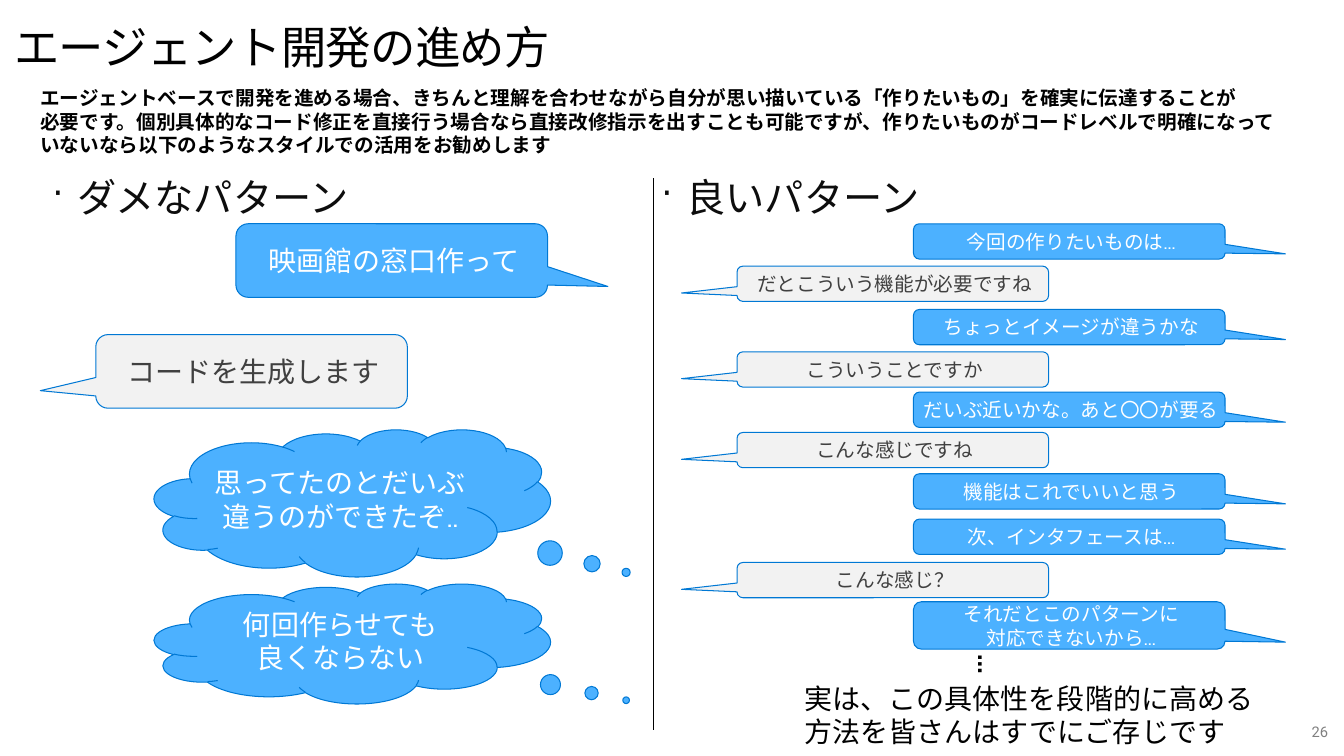
from dataclasses import dataclass

from lxml import etree
from pptx import Presentation
from pptx import util as u
from pptx.dml.color import RGBColor
from pptx.enum import shapes, text
from pptx.oxml import ns

PX = 9144  # one px is a hundredth of an inch


@dataclass(frozen=True)
class Theme:
    ink: str = "000000"
    head: str = "0D0D0D"
    gray: str = "808080"
    dark: str = "404040"
    white: str = "FFFFFF"
    blue: str = "4CB1FF"
    pale: str = "F2F2F2"
    edge: str = "0078D4"
    font: str = "Cabin"
    cjk: str = "Noto Sans CJK JP"
    num: str = "Roboto"
    title: float = 32.4
    sub: float = 28
    big: float = 20
    small: float = 14
    tiny: float = 10.5


T = Theme()
LEFT, MID, RIGHT = text.PP_ALIGN.LEFT, text.PP_ALIGN.CENTER, text.PP_ALIGN.RIGHT


def rgb(code):
    return RGBColor.from_string(code)


def write(shape, words, size, color=T.ink, font=T.font, bold=False, align=LEFT,
          pad=(0, 0, 0, 0), middle=False, bullet=False, track=None):
    """Fill a shape with one paragraph; a newline is a line break."""
    frame = shape.text_frame
    frame.word_wrap = True
    frame.margin_left, frame.margin_top, frame.margin_right, frame.margin_bottom = (
        n * PX for n in pad)
    frame.vertical_anchor = text.MSO_ANCHOR.MIDDLE if middle else text.MSO_ANCHOR.TOP
    para = frame.paragraphs[0]
    para.alignment = align
    if bullet:
        para.line_spacing = 0.9
        props = para._p.get_or_add_pPr()
        props.set("marL", str(25 * PX))
        props.set("indent", str(-25 * PX))
        etree.SubElement(props, ns.qn("a:buSzPct"), val="90000")
        etree.SubElement(props, ns.qn("a:buChar"), char="·")
    for i, line in enumerate(words.split("\n")):
        if i:
            para.add_line_break()
        run = para.add_run()
        run.text = line
        run.font.size = u.Pt(size)
        run.font.bold = bold
        run.font.name = font
        run.font.color.rgb = rgb(color)
        props = run._r.get_or_add_rPr()
        etree.SubElement(props, ns.qn("a:ea"), typeface=font)
        if track is not None:
            props.set("spc", str(track))


class Board:
    def __init__(self, slide, theme):
        self.slide, self.theme = slide, theme

    def label(self, box, words, size, turn=0, **style):
        item = self.slide.shapes.add_textbox(*(n * PX for n in box))
        item.rotation = turn
        write(item, words, size, **style)

    def shape(self, kind, box, fill, adjust):
        item = self.slide.shapes.add_shape(kind, *(n * PX for n in box))
        item.shadow.inherit = False
        for i, value in enumerate(adjust):
            item.adjustments[i] = value
        item.fill.solid()
        item.fill.fore_color.rgb = rgb(fill)
        item.line.color.rgb = rgb(self.theme.edge)
        item.line.width = u.Pt(0.75)
        return item

    def bubble(self, box, words, size, user):
        th = self.theme
        tail = (0.694, 0.353, 0.167) if user else (-0.678, 0.262, 0.167)
        item = self.shape(shapes.MSO_SHAPE.ROUNDED_RECTANGULAR_CALLOUT, box,
                          th.blue if user else th.pale, tail)
        write(item, words, size, color=th.white if user else th.dark,
              align=MID, pad=(4, 0, 0, 0), middle=True)

    def cloud(self, box, words):
        th = self.theme
        item = self.shape(shapes.MSO_SHAPE.CLOUD_CALLOUT, box, th.blue, (0.691, 0.472))
        write(item, words, th.big, color=th.white, align=MID,
              pad=(4, 0, 0, 0), middle=True)

    def rule(self, x, top, end):
        line = self.slide.shapes.add_connector(
            shapes.MSO_CONNECTOR.STRAIGHT, x * PX, top * PX, x * PX, end * PX)
        line.line.color.rgb = rgb(self.theme.ink)
        line.line.width = u.Pt(0.75)
        etree.SubElement(line._element.spPr, ns.qn("a:effectLst"))


SUMMARY = (
    "エージェントベースで開発を進める場合、きちんと理解を合わせながら自分が思い描いている「作りたいもの」を確実に伝達することが\n"
    "必要です。個別具体的なコード修正を直接行う場合なら直接改修指示を出すことも可能ですが、"
    "作りたいものがコードレベルで明確になっていないなら以下のようなスタイルでの活用をお勧めします")

# Good dialogue: top, height, user speaks, words
CHAT = [
    (222, 35, True, "今回の作りたいものは..."),
    (264, 35, False, "だとこういう機能が必要ですね"),
    (307, 35, True, "ちょっとイメージが違うかな"),
    (349, 35, False, "こういうことですか"),
    (389, 35, True, "だいぶ近いかな。あと〇〇が要る"),
    (429, 35, False, "こんな感じですね"),
    (470, 35, True, "機能はこれでいいと思う"),
    (515, 35, True, "次、インタフェースは..."),
    (558, 35, False, "こんな感じ？"),
    (597, 47, True, "それだとこのパターンに\n対応できないから..."),
]


def main():
    deck = Presentation()
    deck.slide_width, deck.slide_height = 1333 * PX, 750 * PX
    board = Board(deck.slides.add_slide(deck.slide_layouts[6]), T)

    # Title, summary and page number
    board.label((14, 19, 1150, 51), "エージェント開発の進め方", T.title, track=-50)
    board.label((24, 78, 1265, 85), SUMMARY, T.small, bold=True,
                pad=(16, 0, 16, 0), middle=True)
    board.label((1027, 712, 300, 40), "26", T.tiny, color=T.gray, font=T.num,
                align=RIGHT, pad=(10, 5, 10, 5))

    # Column heads and divider
    for x, words in ((52, "ダメなパターン"), (656, "良いパターン")):
        board.label((x, 177, 615, 547), words, T.sub, color=T.head,
                    font=T.cjk, bullet=True)
    board.rule(648, 177, 724)

    # Bad pattern
    board.bubble((234, 222, 309, 73), "映画館の窓口作って", T.big, True)
    board.bubble((95, 332, 309, 73), "コードを生成します", T.big, False)
    board.cloud((153, 426, 393, 146), "思ってたのとだいぶ違うのができたぞ..")
    board.cloud((153, 579, 393, 119), "何回作らせても\n良くならない")

    # Good pattern
    for top, high, user, words in CHAT:
        board.bubble((906 if user else 731, top, 309, high), words, T.small, user)
    board.label((968, 645, 26, 34), "…", T.big, turn=90, bold=True)
    board.label((798, 676, 473, 67),
                "実は、この具体性を段階的に高める\n方法を皆さんはすでにご存じです", T.big)

    deck.save("out.pptx")


if __name__ == "__main__":
    main()
